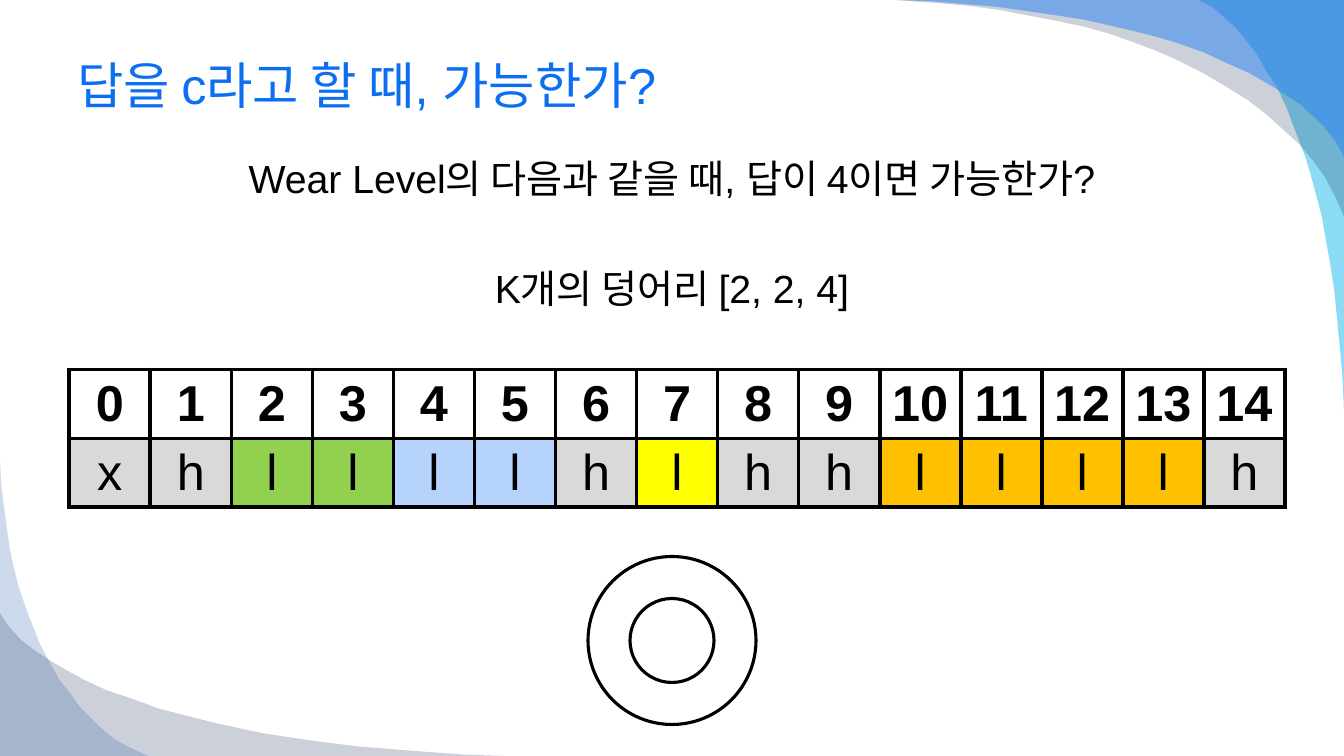
from lxml import etree
from pptx import Presentation
from pptx.dml.color import RGBColor
from pptx.enum.shapes import MSO_SHAPE
from pptx.enum.text import MSO_ANCHOR, MSO_AUTO_SIZE, PP_ALIGN
from pptx.oxml.ns import qn
from pptx.util import Pt

DONUT = MSO_SHAPE.DONUT
MIDDLE, TOP = MSO_ANCHOR.MIDDLE, MSO_ANCHOR.TOP
NO_FIT = MSO_AUTO_SIZE.NONE
LEFT, CENTER = PP_ALIGN.LEFT, PP_ALIGN.CENTER

FONT = "Arial"
BLACK = RGBColor(0x00, 0x00, 0x00)
WHITE = RGBColor(0xFF, 0xFF, 0xFF)
BLUE = RGBColor(0x0C, 0x6F, 0xF2)
CYAN = RGBColor(0x00, 0xB1, 0xE9)
NAVY = RGBColor(0x02, 0x17, 0x41)
AZURE = RGBColor(0x24, 0x7F, 0xF4)
DEEP = RGBColor(0x08, 0x4A, 0xA1)
GRAY = RGBColor(0xD9, 0xD9, 0xD9)
GREEN = RGBColor(0x92, 0xD0, 0x50)
PALE = RGBColor(0xB6, 0xD4, 0xFB)
YELLOW = RGBColor(0xFF, 0xFF, 0x00)
ORANGE = RGBColor(0xFF, 0xC0, 0x00)

# Edge of every swoosh: percent along its long side, percent along its short side
CURVE = [
    (0, 0), (8.1, 1.1), (15.5, 2.6), (22.7, 4.6), (29.5, 6.9), (36, 9.6),
    (41.9, 12.5), (47.5, 15.8), (52.7, 19.4), (57.7, 23.2), (62.2, 27.1),
    (68.5, 33.4), (73.9, 39.9), (78.8, 46.5), (83.1, 53.4), (86.7, 59.9),
    (89.9, 66.4), (93.2, 74.3), (95.7, 81.6), (98.2, 90.7), (100, 100),
]

# Start of the edge, slide corner, end of the edge, colour, opacity in percent
SWEEPS = [
    ((960, 294), (960, 0), (856, 0), CYAN, 45),
    ((640, 0), (960, 0), (960, 155), NAVY, 20),
    ((640, 0), (960, 0), (960, 111.6), AZURE, 49),
    ((360, 540), (0, 540), (0, 438), NAVY, 20),
    ((0, 330), (0, 540), (106.5, 540), DEEP, 20),
]

# Runs of equal cells: letters, fill
CHUNKS = [
    ("xh", GRAY), ("ll", GREEN), ("ll", PALE), ("h", GRAY),
    ("l", YELLOW), ("hh", GRAY), ("llll", ORANGE), ("h", GRAY),
]


def add_sweep(slide, start, corner, end, color, alpha):
    """Fill the area between a slide corner and a curved edge."""
    edge = [
        tuple(s + (c - s) * u / 100 + (e - c) * v / 100
              for s, c, e in zip(start, corner, end))
        for u, v in CURVE
    ]
    pen = slide.shapes.build_freeform(*corner, scale=Pt(1))
    pen.add_line_segments(edge, close=True)
    shape = pen.convert_to_shape()
    shape.shadow.inherit = False
    shape.line.fill.background()
    shape.fill.solid()
    shape.fill.fore_color.rgb = color
    tint = shape.element.spPr.find(".//" + qn("a:srgbClr"))
    etree.SubElement(tint, qn("a:alpha"), val=str(alpha * 1000))


def style(para, size, color, align, bold=False):
    para.alignment = align
    font = para.font
    font.name, font.size, font.bold = FONT, Pt(size), bold
    font.color.rgb = color


def set_title(slide, text):
    title = slide.shapes.title
    title.left, title.top = Pt(48), Pt(24)
    title.width, title.height = Pt(864), Pt(72.7)
    frame = title.text_frame
    frame.text = text
    frame.auto_size = NO_FIT
    frame.vertical_anchor = MIDDLE
    style(frame.paragraphs[0], 36, BLUE, LEFT)
    title.element.getparent().append(title.element)  # in front of the swooshes


def add_body(slide, lines):
    """Add centred lines, each a pair of text and space before."""
    box = slide.shapes.add_textbox(Pt(48), Pt(106.5), Pt(864), Pt(131))
    frame = box.text_frame
    frame.word_wrap = True
    frame.vertical_anchor = TOP
    frame.text = "\n".join(text for text, _ in lines)
    for para, (_, gap) in zip(frame.paragraphs, lines):
        style(para, 28, BLACK, CENTER)
        para.space_before = Pt(gap)


def set_border(cell, color, width):
    props = cell._tc.get_or_add_tcPr()
    for spot, side in enumerate("LRTB"):
        line = etree.Element(qn("a:ln" + side), w=str(Pt(width)))
        fill = etree.SubElement(line, qn("a:solidFill"))
        etree.SubElement(fill, qn("a:srgbClr"), val=str(color))
        props.insert(spot, line)


def set_cell(cell, text, fill, bold):
    cell.text = text
    cell.vertical_anchor = MIDDLE
    cell.margin_top = cell.margin_bottom = Pt(3)
    cell.fill.solid()
    cell.fill.fore_color.rgb = fill
    style(cell.text_frame.paragraphs[0], 36, BLACK, CENTER, bold)
    set_border(cell, BLACK, 3)


def add_grid(slide):
    cells = [(mark, fill) for marks, fill in CHUNKS for mark in marks]
    count, wide, high = len(cells), 57.9, 47.5
    table = slide.shapes.add_table(
        2, count, Pt(49.5), Pt(264), Pt(count * wide), Pt(2 * high)).table
    table.first_row = table.horz_banding = False
    for row in table.rows:
        row.height = Pt(high)
    for col, (mark, fill) in enumerate(cells):
        table.columns[col].width = Pt(wide)
        set_cell(table.cell(0, col), str(col), WHITE, True)
        set_cell(table.cell(1, col), mark, fill, False)


def add_donut(slide):
    donut = slide.shapes.add_shape(DONUT, Pt(420), Pt(397.5), Pt(120), Pt(120))
    donut.shadow.inherit = False
    donut.fill.solid()
    donut.fill.fore_color.rgb = WHITE
    donut.line.color.rgb = BLACK
    donut.line.width = Pt(2.25)


def main():
    deck = Presentation()
    deck.slide_width, deck.slide_height = Pt(960), Pt(540)
    slide = deck.slides.add_slide(deck.slide_layouts.get_by_name("Title Only"))
    for sweep in SWEEPS:
        add_sweep(slide, *sweep)
    set_title(slide, "답을 c라고 할 때, 가능한가?")
    add_body(slide, [
        ("Wear Level의 다음과 같을 때, 답이 4이면 가능한가?", 5.6),
        ("K개의 덩어리 [2, 2, 4]", 45),
    ])
    add_grid(slide)
    add_donut(slide)
    deck.save("out.pptx")


if __name__ == "__main__":
    main()
